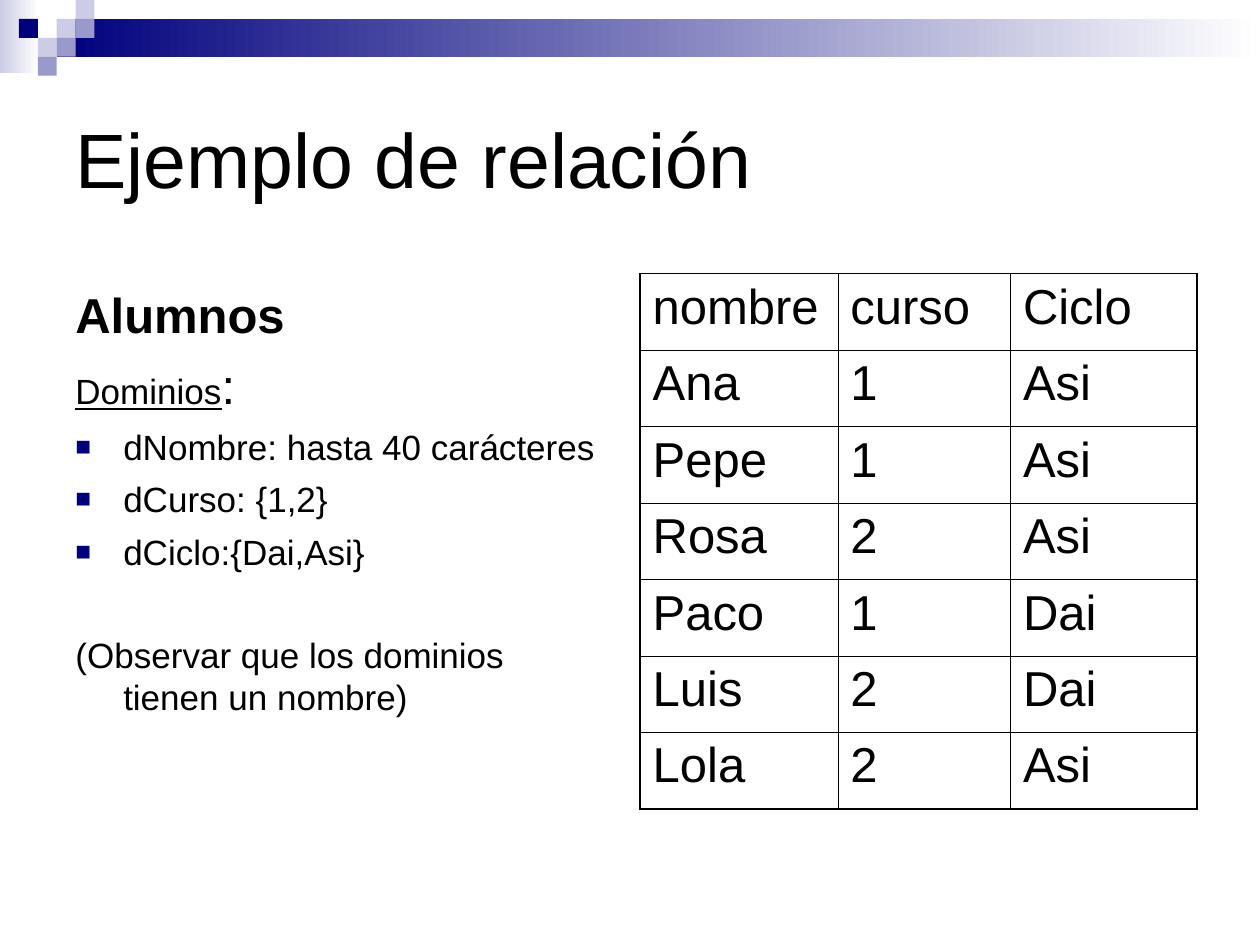
from dataclasses import dataclass

from lxml import etree
from pptx import Presentation
from pptx.dml.color import RGBColor
from pptx.enum.shapes import MSO_SHAPE
from pptx.enum.text import MSO_ANCHOR
from pptx.oxml.ns import qn
from pptx.util import Inches, Pt

RECTANGLE = MSO_SHAPE.RECTANGLE
TOP, MIDDLE = MSO_ANCHOR.TOP, MSO_ANCHOR.MIDDLE


@dataclass(frozen=True)
class Theme:
    font: str = "Arial"
    ink: str = "000000"
    white: str = "FFFFFF"
    navy: str = "00007D"
    lilac: str = "9999CC"
    pale: str = "CCCCE6"
    title: int = 44
    large: int = 28
    small: int = 20
    outer_line: float = 1.08
    inner_line: float = 0.45


THEME = Theme()

ROWS = [
    ("nombre", "curso", "Ciclo"),
    ("Ana", "1", "Asi"),
    ("Pepe", "1", "Asi"),
    ("Rosa", "2", "Asi"),
    ("Paco", "1", "Dai"),
    ("Luis", "2", "Dai"),
    ("Lola", "2", "Asi"),
]
COLUMN_WIDTHS = (1.57, 1.37, 1.48)
DOMAINS = ("dNombre: hasta 40 carácteres", "dCurso: {1,2}", "dCiclo:{Dai,Asi}")


def write(para, text, size=THEME.small, bold=False, underline=False):
    span = para.add_run()
    span.text = text
    font = span.font
    font.name, font.size = THEME.font, Pt(size)
    font.bold, font.underline = bold, underline
    font.color.rgb = RGBColor.from_string(THEME.ink)


def add_text_frame(page, box, anchor=TOP):
    frame = page.shapes.add_textbox(*map(Inches, box)).text_frame
    frame.word_wrap = True
    frame.vertical_anchor = anchor
    return frame


def add_hanging_para(frame, first=False, before=0, bullet=False):
    para = frame.paragraphs[0] if first else frame.add_paragraph()
    para.space_before = Pt(before)
    props = para._p.get_or_add_pPr()
    props.set("marL", str(Inches(0.38)))
    props.set("indent", str(-Inches(0.38)))
    if bullet:
        color = etree.SubElement(props, qn("a:buClr"))
        etree.SubElement(color, qn("a:srgbClr"), val=THEME.navy)
        etree.SubElement(props, qn("a:buSzPct"), val="75000")
        etree.SubElement(props, qn("a:buFont"), typeface=THEME.font)
        etree.SubElement(props, qn("a:buChar"), char="■")
    return para


def add_block(page, box, color, fade_to=None):
    block = page.shapes.add_shape(RECTANGLE, *map(Inches, box))
    block.shadow.inherit = False
    block.line.fill.background()
    if fade_to is None:
        block.fill.solid()
        block.fill.fore_color.rgb = RGBColor.from_string(color)
        return
    block.fill.gradient()
    block.fill.gradient_angle = 0
    for stop, shade in zip(block.fill.gradient_stops, (color, fade_to)):
        stop.color.rgb = RGBColor.from_string(shade)


def add_header_band(page, box):
    left, top, width, height = box
    unit = height / 4
    add_block(page, (left, top, 0.31, 0.58), THEME.pale, THEME.white)
    bar_left = left + 3 * unit
    add_block(page, (bar_left, top + unit, width - 3 * unit, 2 * unit),
              THEME.navy, THEME.white)
    squares = [
        (3, 1, THEME.pale), (4, 0, THEME.pale), (4, 1, THEME.lilac),
        (2, 2, THEME.pale), (1, 1, THEME.navy), (3, 2, THEME.lilac),
        (2, 3, THEME.lilac),
    ]
    for column, row, color in squares:
        add_block(page, (left + column * unit, top + row * unit, unit, unit), color)


def add_title(page, box):
    frame = add_text_frame(page, box, anchor=MIDDLE)
    write(frame.paragraphs[0], "Ejemplo de relación", size=THEME.title)


def add_domains(page, box):
    frame = add_text_frame(page, box)
    frame.margin_top = Inches(0.09)
    frame.margin_right = Inches(0.12)
    write(add_hanging_para(frame, first=True), "Alumnos", size=THEME.large, bold=True)
    heading = add_hanging_para(frame, before=7)
    write(heading, "Dominios", underline=True)
    write(heading, ":", size=THEME.large)
    for domain in DOMAINS:
        write(add_hanging_para(frame, before=6, bullet=True), domain)
    remark = add_hanging_para(frame, before=35)
    write(remark, "(Observar que los dominios tienen un nombre)")


def draw_borders(cell, outer_sides):
    props = cell._tc.get_or_add_tcPr()
    for index, side in enumerate("LRTB"):
        weight = THEME.outer_line if side in outer_sides else THEME.inner_line
        line = etree.Element(qn(f"a:ln{side}"), w=str(Pt(weight)))
        fill = etree.SubElement(line, qn("a:solidFill"))
        etree.SubElement(fill, qn("a:srgbClr"), val=THEME.ink)
        props.insert(index, line)


def add_students_table(page, box):
    last_row, last_column = len(ROWS) - 1, len(COLUMN_WIDTHS) - 1
    table = page.shapes.add_table(
        len(ROWS), len(COLUMN_WIDTHS), *map(Inches, box)).table
    table.first_row = table.horz_banding = False
    for column, width in zip(table.columns, COLUMN_WIDTHS):
        column.width = Inches(width)
    for r, values in enumerate(ROWS):
        for c, value in enumerate(values):
            cell = table.cell(r, c)
            cell.fill.background()
            write(cell.text_frame.paragraphs[0], value, size=THEME.large)
            edges = {"L": c == 0, "R": c == last_column,
                     "T": r == 0, "B": r == last_row}
            draw_borders(cell, [side for side, outer in edges.items() if outer])


def main():
    deck = Presentation()
    deck.slide_width, deck.slide_height = Inches(10), Inches(7.5)
    page = deck.slides.add_slide(deck.slide_layouts[6])
    add_header_band(page, (0, 0, 10, 0.6))
    add_title(page, (0.5, 0.5, 9, 1.5))
    add_domains(page, (0.5, 2.17, 4.42, 4.25))
    add_students_table(page, (5.08, 2.17, 4.42, 4.25))
    deck.save("out.pptx")


if __name__ == "__main__":
    main()
